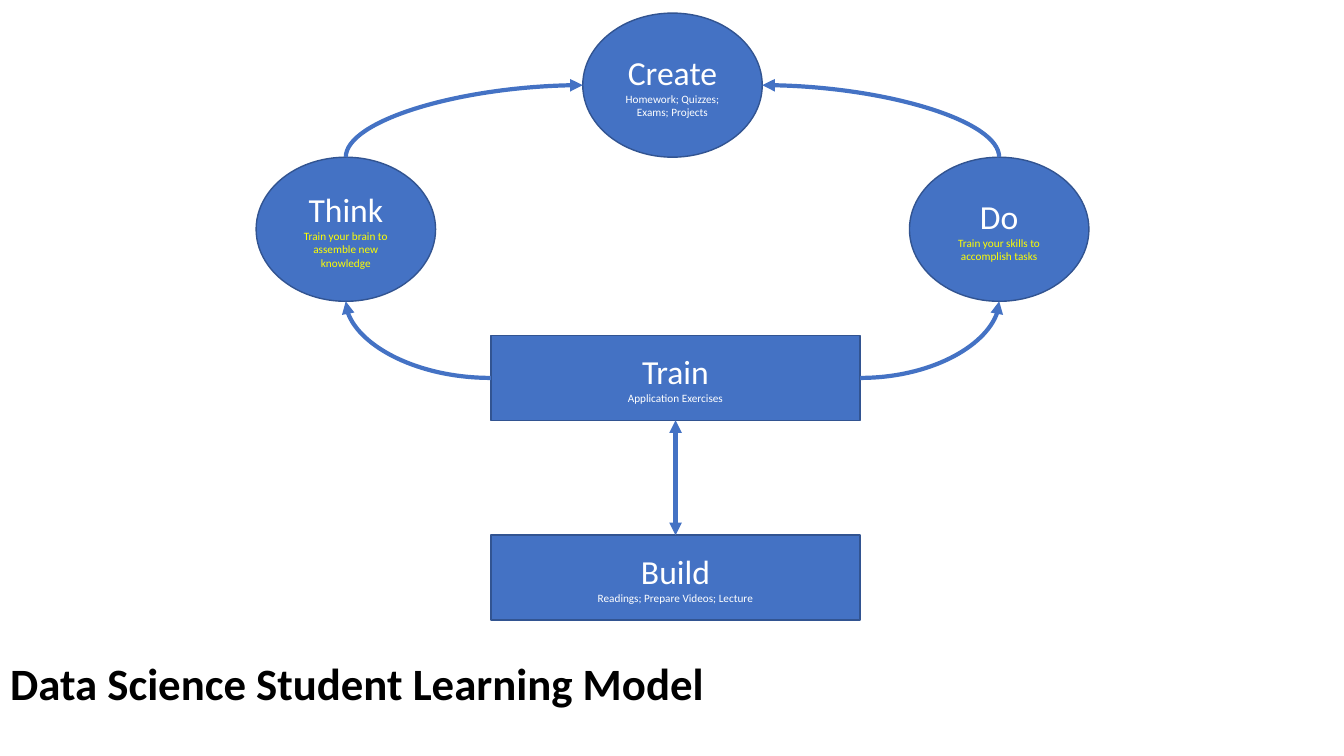
import lxml.etree
import pptx
import pptx.util
import pptx.dml.color
import pptx.enum.shapes
import pptx.enum.text
import pptx.oxml.ns

PX = 9144
BLUE, EDGE, WHITE, YELLOW, BLACK = "4472C4", "325491", "FFFFFF", "FFFF00", "000000"
TOP, LEFT, BOTTOM, RIGHT = range(4)
SHAPES = pptx.enum.shapes.MSO_SHAPE
LINKS = pptx.enum.shapes.MSO_CONNECTOR
ALIGN = pptx.enum.text.PP_ALIGN
qn = pptx.oxml.ns.qn


def rgb(color):
    return pptx.dml.color.RGBColor.from_string(color)


def write(paragraph, text, size, color, align, bold=False):
    paragraph.alignment = align
    run = paragraph.add_run()
    run.text = text
    for key, value in {"name": "Calibri", "size": pptx.util.Pt(size), "bold": bold}.items():
        setattr(run.font, key, value)
    run.font.color.rgb = rgb(color)


deck = pptx.Presentation()
deck.slide_width, deck.slide_height = 1333 * PX, 750 * PX
slide = deck.slides.add_slide(deck.slide_layouts[5])

OVAL, BOX = (SHAPES.OVAL, 178, 143), (SHAPES.RECTANGLE, 366, 84)
stages = [
    ("Build", BOX, 487, 531, "Readings; Prepare Videos; Lecture", WHITE),
    ("Train", BOX, 487, 333, "Application Exercises", WHITE),
    ("Think", OVAL, 254, 156, "Train your brain to assemble new knowledge", YELLOW),
    ("Do", OVAL, 902, 156, "Train your skills to accomplish tasks", YELLOW),
    ("Create", OVAL, 578, 13, "Homework; Quizzes; Exams; Projects", WHITE),
]
placed = {}
for stage, (kind, width, height), left, top, activity, activity_color in stages:
    shape = slide.shapes.add_shape(kind, left * PX, top * PX, width * PX, height * PX)
    shape.shadow.inherit = False
    shape.fill.solid()
    shape.fill.fore_color.rgb = rgb(BLUE)
    shape.line.color.rgb = rgb(EDGE)
    shape.line.width = pptx.util.Pt(1)
    frame = shape.text_frame
    frame.word_wrap = True
    frame.vertical_anchor = pptx.enum.text.MSO_ANCHOR.MIDDLE
    write(frame.paragraphs[0], stage, 24, WHITE, ALIGN.CENTER)
    write(frame.add_paragraph(), activity, 8, activity_color, ALIGN.CENTER)
    placed[stage] = shape

flows = [
    ("Train", BOTTOM, "Build", TOP, LINKS.STRAIGHT, ["headEnd", "tailEnd"]),
    ("Train", RIGHT, "Do", BOTTOM, LINKS.CURVE, ["tailEnd"]),
    ("Train", LEFT, "Think", BOTTOM, LINKS.CURVE, ["tailEnd"]),
    ("Create", LEFT, "Think", TOP, LINKS.CURVE, ["headEnd"]),
    ("Create", RIGHT, "Do", TOP, LINKS.CURVE, ["headEnd"]),
]
for start, start_side, end, end_side, route, arrowheads in flows:
    flow = slide.shapes.add_connector(route, 0, 0, 0, 0)
    flow.begin_connect(placed[start], start_side)
    flow.end_connect(placed[end], end_side)
    flow.line.color.rgb = rgb(BLUE)
    flow.line.width = pptx.util.Pt(3)
    properties = flow._element.spPr
    if route == LINKS.CURVE:
        properties.find(qn("a:prstGeom")).set("prst", "curvedConnector2")
    for stage, side, tag in [(start, start_side, "a:stCxn"), (end, end_side, "a:endCxn")]:
        if placed[stage].auto_shape_type == SHAPES.OVAL:
            next(flow._element.iter(qn(tag))).set("idx", str(side * 2))
    for arrowhead in arrowheads:
        lxml.etree.SubElement(properties.find(qn("a:ln")), qn(f"a:{arrowhead}"), type="triangle")
    lxml.etree.SubElement(properties, qn("a:effectLst"))

heading = slide.shapes.title
for side, length in {"left": 0, "top": 645, "width": 875, "height": 64}.items():
    setattr(heading, side, length * PX)
for key, value in {
    "word_wrap": True,
    "auto_size": pptx.enum.text.MSO_AUTO_SIZE.SHAPE_TO_FIT_TEXT,
    "vertical_anchor": pptx.enum.text.MSO_ANCHOR.TOP,
}.items():
    setattr(heading.text_frame, key, value)
write(heading.text_frame.paragraphs[0], "Data Science Student Learning Model", 32, BLACK, ALIGN.LEFT, True)

deck.save("out.pptx")
